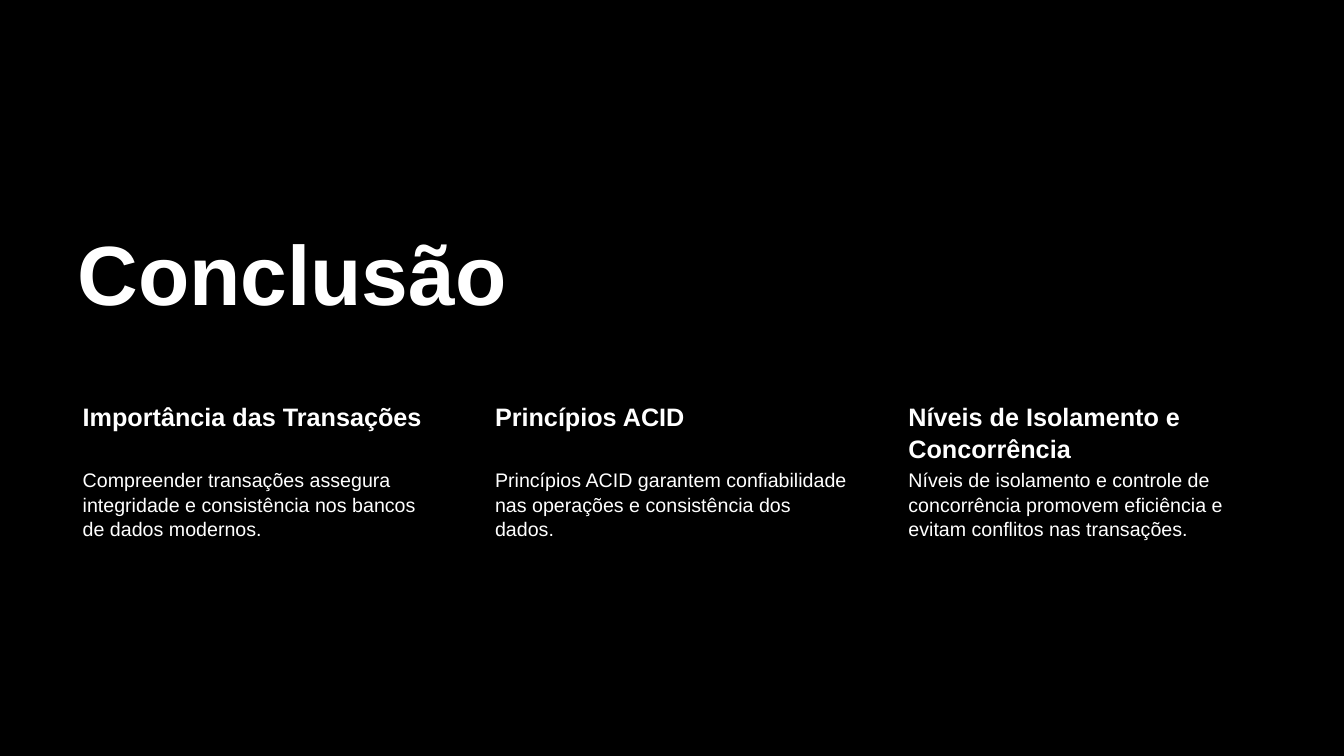
from pptx import Presentation
from pptx.dml.color import RGBColor
from pptx.enum.text import MSO_ANCHOR
from pptx.util import Emu, Pt

PX = 9144  # 100 px to the inch
TOP, BOTTOM = MSO_ANCHOR.TOP, MSO_ANCHOR.BOTTOM
COLORS = {"back": "000000", "text": "FFFFFF"}
FONT = "Arial"
TOPICS = [
    ("Importância das Transações",
     "Compreender transações assegura integridade e consistência nos bancos "
     "de dados modernos."),
    ("Princípios ACID",
     "Princípios ACID garantem confiabilidade nas operações e consistência "
     "dos dados."),
    ("Níveis de Isolamento e Concorrência",
     "Níveis de isolamento e controle de concorrência promovem eficiência e "
     "evitam conflitos nas transações."),
]


def px(n):
    return Emu(n * PX)


def add_text(slide, box, text, size, bold=False, anchor=TOP,
             inset=(10, 5, 10, 5), spacing=1.0):
    frame = slide.shapes.add_textbox(*map(px, box)).text_frame
    frame.word_wrap = True
    frame.vertical_anchor = anchor
    (frame.margin_left, frame.margin_top,
     frame.margin_right, frame.margin_bottom) = map(px, inset)
    para = frame.paragraphs[0]
    para.line_spacing = spacing
    run = para.add_run()
    run.text = text
    font = run.font
    font.name, font.size, font.bold = FONT, Pt(size), bold
    font.color.rgb = RGBColor.from_string(COLORS["text"])


def add_title(slide, box):
    add_text(slide, box, "Conclusão", 60, bold=True, anchor=BOTTOM,
             spacing=0.9)


def add_topic(slide, box, head, body):
    left, top, width, height = box
    split = 68
    add_text(slide, (left, top, width, split), head, 18, bold=True,
             inset=(15, 3, 3, 3), spacing=1.07)
    add_text(slide, (left, top + split, width, height - split), body, 14,
             inset=(15, 2, 2, 2), spacing=1.05)


def add_topics(slide, box, gap):
    left, top, width, height = box
    count = len(TOPICS)
    col = (width - gap * (count - 1)) / count
    for i, (head, body) in enumerate(TOPICS):
        spot = (round(left + i * (col + gap)), top, round(col), height)
        add_topic(slide, spot, head, body)


def main():
    prs = Presentation()
    prs.slide_width, prs.slide_height = px(1333), px(750)
    slide = prs.slides.add_slide(prs.slide_layouts[6])
    fill = slide.background.fill
    fill.solid()
    fill.fore_color.rgb = RGBColor.from_string(COLORS["back"])
    add_title(slide, (67, 202, 803, 124))
    add_topics(slide, (67, 393, 1191, 274), gap=37)
    prs.save("out.pptx")


if __name__ == "__main__":
    main()
